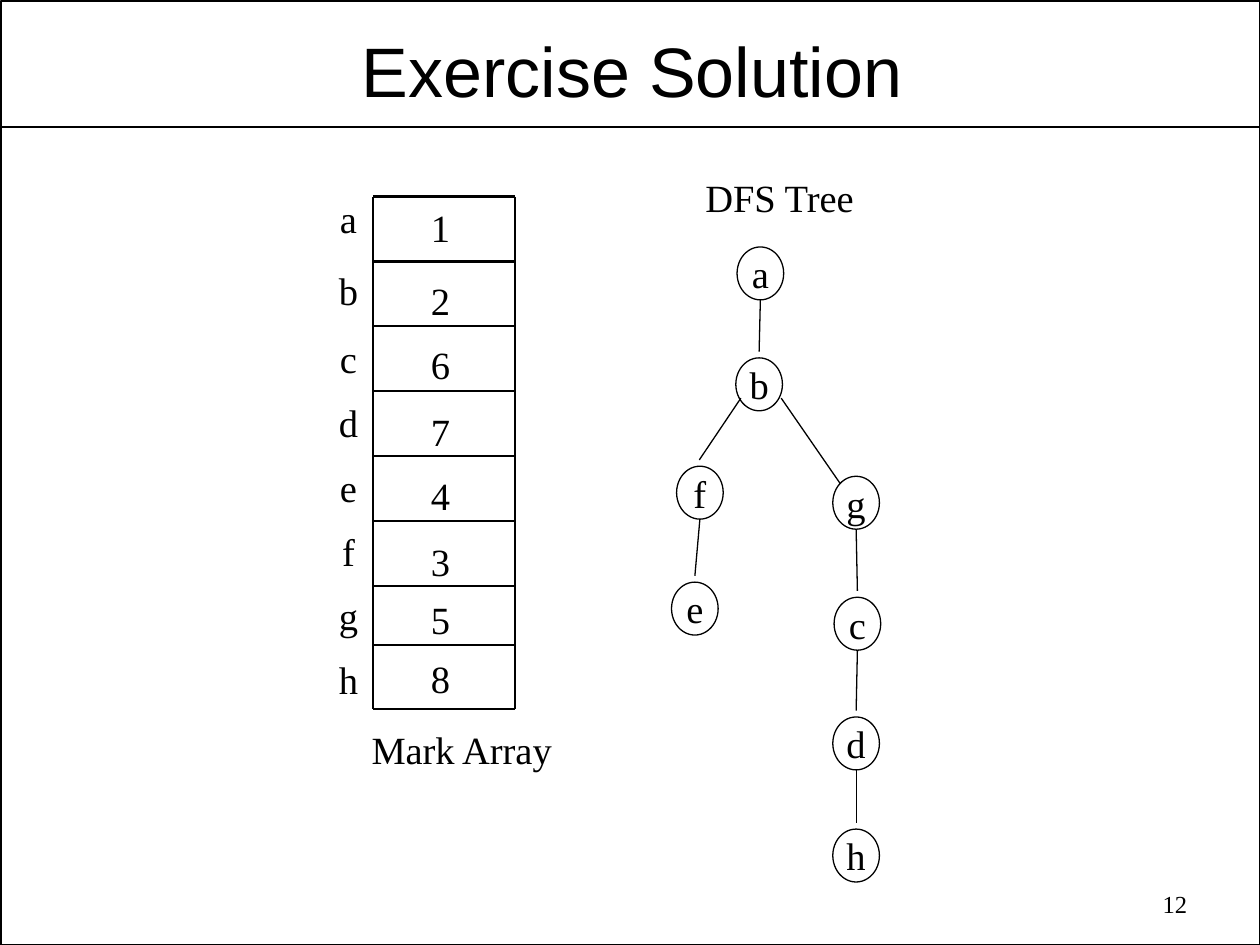
from dataclasses import dataclass

from lxml import etree
from pptx import Presentation
from pptx.dml.color import RGBColor
from pptx.enum import shapes, text
from pptx.oxml.ns import qn
from pptx.util import Inches, Pt


@dataclass(frozen=True)
class Theme:
    ink: RGBColor = RGBColor(0, 0, 0)
    heading_font: str = "Arial"
    body_font: str = "Times New Roman"
    heading_size: int = 40
    body_size: int = 22
    number_size: int = 14
    frame_line: float = 1
    array_line: float = 1.25
    tree_line: float = 0.75


THEME = Theme()
LEFT, CENTER, RIGHT = text.PP_ALIGN.LEFT, text.PP_ALIGN.CENTER, text.PP_ALIGN.RIGHT

MARKS = [
    ("a", 1.5, "1", 1.57),
    ("b", 2.07, "2", 2.15),
    ("c", 2.61, "6", 2.66),
    ("d", 3.12, "7", 3.19),
    ("e", 3.63, "4", 3.7),
    ("f", 4.14, "3", 4.22),
    ("g", 4.65, "5", 4.68),
    ("h", 5.16, "8", 5.15),
]
ARRAY_LEFT, ARRAY_RIGHT, ARRAY_TOP, ARRAY_BOTTOM = 2.96, 4.09, 1.56, 5.63
ROW_STEP = 0.515
ROW_LINES = [ARRAY_TOP + ROW_STEP * row for row in range(7)] + [5.12, ARRAY_BOTTOM]
LABEL_LEFT, VALUE_LEFT, CELL_WIDTH, TEXT_HEIGHT = 2.59, 3.32, 0.35, 0.47

NODE_WIDTH, NODE_HEIGHT = 0.37, 0.42
NODES = {
    "a": (5.85, 1.96),
    "b": (5.84, 2.84),
    "f": (5.37, 3.7),
    "e": (5.33, 4.62),
    "g": (6.61, 3.78),
    "c": (6.62, 4.74),
    "d": (6.61, 5.69),
    "h": (6.61, 6.58),
}
STRAIGHT_EDGES = ["ab", "fe", "gc", "cd", "dh"]
BRANCHES = [((5.55, 3.65), (5.88, 3.16)), ((6.67, 3.84), (6.2, 3.16))]
EDGE_GAP = 0.05


def write(frame, words, size, font, align):
    paragraph = frame.paragraphs[0]
    paragraph.text = words
    paragraph.alignment = align
    paragraph.font.size = Pt(size)
    paragraph.font.name = font
    paragraph.font.color.rgb = THEME.ink


def add_words(slide, words, box, align=LEFT, size=THEME.body_size,
              font=THEME.body_font, wrap=False):
    frame = slide.shapes.add_textbox(*map(Inches, box)).text_frame
    frame.word_wrap = wrap
    write(frame, words, size, font, align)
    return frame


def add_outline(slide, kind, box, weight):
    outline = slide.shapes.add_shape(kind, *map(Inches, box))
    outline.shadow.inherit = False
    outline.fill.background()
    outline.line.color.rgb = THEME.ink
    outline.line.width = Pt(weight)
    return outline


def add_line(slide, start, end, weight):
    line = slide.shapes.add_connector(
        shapes.MSO_CONNECTOR.STRAIGHT, *map(Inches, (*start, *end)))
    line.line.color.rgb = THEME.ink
    line.line.width = Pt(weight)
    etree.SubElement(line._element.spPr, qn("a:effectLst"))


def add_frame(slide):
    add_outline(slide, shapes.MSO_SHAPE.RECTANGLE, (0.01, 0.01, 9.99, 7.49), THEME.frame_line)
    add_line(slide, (0.01, 1.01), (9.99, 1.01), THEME.frame_line)
    title = add_words(slide, "Exercise Solution", (0.53, 0.19, 8.97, 0.72), CENTER,
                      THEME.heading_size, THEME.heading_font, True)
    title.margin_left = title.margin_right = Inches(0.07)
    title.margin_top = title.margin_bottom = Inches(0.03)
    add_words(slide, "12", (8.67, 7.01, 0.85, 0.36), RIGHT, THEME.number_size, wrap=True)


def add_mark_array(slide):
    for x in (ARRAY_LEFT, ARRAY_RIGHT):
        add_line(slide, (x, ARRAY_TOP), (x, ARRAY_BOTTOM), THEME.array_line)
    for y in ROW_LINES:
        add_line(slide, (ARRAY_LEFT, y), (ARRAY_RIGHT, y), THEME.array_line)
    for label, label_top, value, value_top in MARKS:
        add_words(slide, label, (LABEL_LEFT, label_top, CELL_WIDTH, TEXT_HEIGHT), CENTER)
        add_words(slide, value, (VALUE_LEFT, value_top, CELL_WIDTH, TEXT_HEIGHT), CENTER)
    add_words(slide, "Mark Array", (2.85, 5.71, 1.65, TEXT_HEIGHT))


def add_tree(slide):
    add_words(slide, "DFS Tree", (5.5, 1.33, 1.39, TEXT_HEIGHT))
    for name, (x, y) in NODES.items():
        node = add_outline(slide, shapes.MSO_SHAPE.OVAL,
                           (x, y, NODE_WIDTH, NODE_HEIGHT), THEME.tree_line)
        frame = node.text_frame
        frame.word_wrap = False
        frame.vertical_anchor = text.MSO_ANCHOR.MIDDLE
        frame.margin_left = frame.margin_right = frame.margin_top = frame.margin_bottom = 0
        write(frame, name, THEME.body_size, THEME.body_font, CENTER)
    for parent, child in STRAIGHT_EDGES:
        (px, py), (cx, cy) = NODES[parent], NODES[child]
        add_line(slide, (px + NODE_WIDTH / 2, py + NODE_HEIGHT),
                 (cx + NODE_WIDTH / 2, cy - EDGE_GAP), THEME.tree_line)
    for start, end in BRANCHES:
        add_line(slide, start, end, THEME.tree_line)


def main():
    deck = Presentation()
    deck.slide_width, deck.slide_height = Inches(10), Inches(7.5)
    slide = deck.slides.add_slide(deck.slide_layouts[6])
    add_frame(slide)
    add_mark_array(slide)
    add_tree(slide)
    deck.save("out.pptx")


if __name__ == "__main__":
    main()
